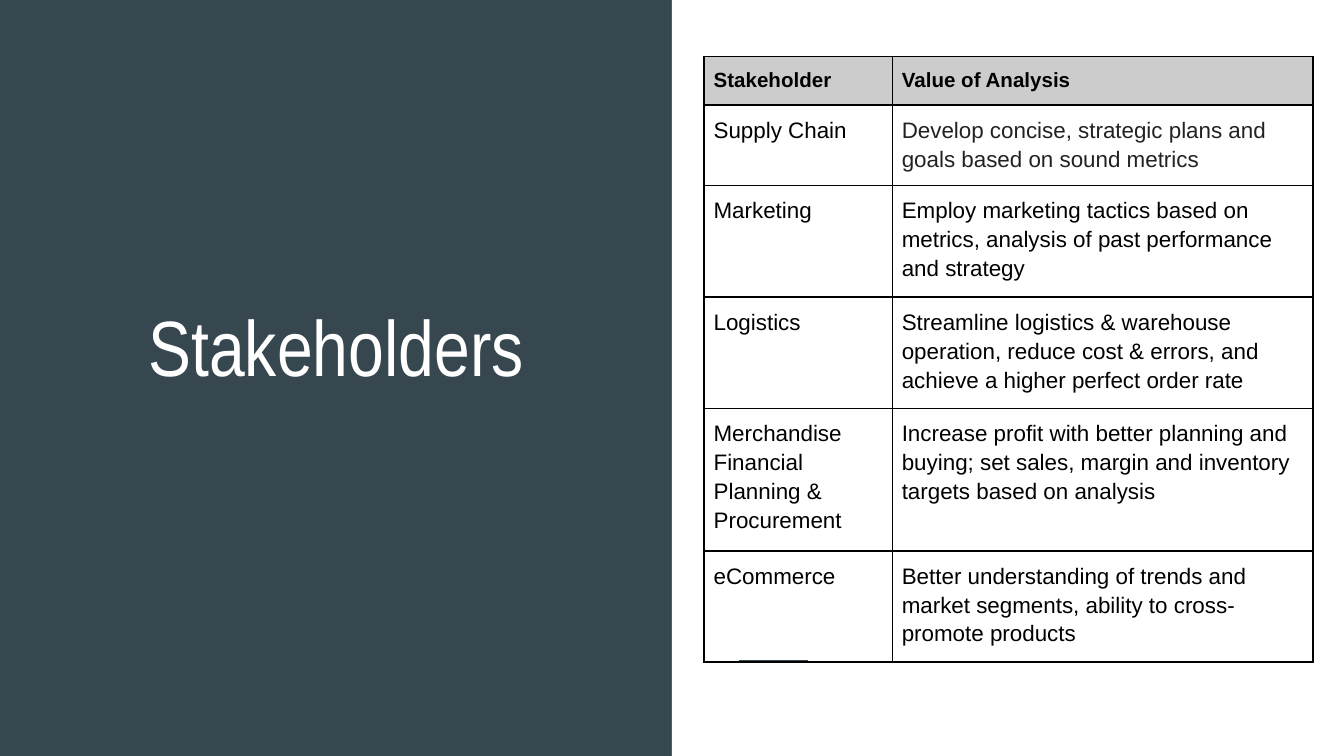
from typing import NamedTuple

from lxml import etree
from pptx import Presentation
from pptx import util as u
from pptx.dml.color import RGBColor
from pptx.enum import shapes, text
from pptx.oxml import ns

SLATE = RGBColor(0x37, 0x47, 0x4F)
WHITE = RGBColor(0xFF, 0xFF, 0xFF)
BLACK = RGBColor(0x00, 0x00, 0x00)
CHARCOAL = RGBColor(0x22, 0x22, 0x22)
HEADER_GREY = RGBColor(0xCC, 0xCC, 0xCC)

SLIDE_WIDTH = u.Inches(10)
SLIDE_HEIGHT = SLIDE_WIDTH * 9 // 16


class Entry(NamedTuple):
    stakeholder: str
    value: str
    height: float
    value_color: RGBColor = BLACK
    is_header: bool = False


ENTRIES = [
    Entry("Stakeholder", "Value of Analysis", 0.36, is_header=True),
    Entry("Supply Chain",
          "Develop concise, strategic plans and goals based on sound metrics",
          0.51, CHARCOAL),
    Entry("Marketing",
          "Employ marketing tactics based on metrics, analysis of past "
          "performance and strategy", 0.8),
    Entry("Logistics",
          "Streamline logistics & warehouse operation, reduce cost & errors, "
          "and achieve a higher perfect order rate", 0.78),
    Entry("Merchandise Financial Planning & Procurement",
          "Increase profit with better planning and buying; set sales, margin "
          "and inventory targets based on analysis", 0.82),
    Entry("eCommerce",
          "Better understanding of trends and market segments, ability to "
          "cross-promote products", 0.79),
]
COLUMN_WIDTHS = (1.4, 3.13)
TABLE_FRAME = u.Inches(3.28)


def add_run(paragraph, words: str, font: str, size: float, color: RGBColor,
            bold: bool = False) -> None:
    run = paragraph.add_run()
    run.text = words
    run.font.name = font
    run.font.size = u.Pt(size)
    run.font.bold = bold
    run.font.color.rgb = color


def add_borders(cell) -> None:
    properties = cell._tc.get_or_add_tcPr()
    for side in ("a:lnL", "a:lnR", "a:lnT", "a:lnB"):
        border = etree.SubElement(properties, ns.qn(side), w=str(u.Pt(1)))
        fill = etree.SubElement(border, ns.qn("a:solidFill"))
        etree.SubElement(fill, ns.qn("a:srgbClr"), val=str(BLACK))


def fill_cell(cell, words: str, color: RGBColor, is_header: bool) -> None:
    cell.margin_left = cell.margin_right = u.Inches(0.07)
    cell.margin_top = cell.margin_bottom = u.Inches(0.07)
    add_borders(cell)
    if is_header:
        cell.fill.solid()
        cell.fill.fore_color.rgb = HEADER_GREY
    else:
        cell.fill.background()
    paragraph = cell.text_frame.paragraphs[0]
    paragraph.line_spacing = 1.15
    add_run(paragraph, words, "Arial", 11 if is_header else 12, color, is_header)


def add_panel(slide) -> None:
    half = SLIDE_WIDTH // 2
    panel = slide.shapes.add_shape(
        shapes.MSO_SHAPE.RECTANGLE, half, u.Inches(0), half, SLIDE_HEIGHT)
    panel.shadow.inherit = False
    panel.fill.solid()
    panel.fill.fore_color.rgb = WHITE
    panel.line.fill.background()


def add_accent(slide) -> None:
    accent = slide.shapes.add_connector(
        shapes.MSO_CONNECTOR.STRAIGHT,
        u.Inches(5.5), u.Inches(4.92), u.Inches(6.01), u.Inches(4.92))
    accent.line.color.rgb = SLATE
    accent.line.width = u.Pt(1.5)
    etree.SubElement(accent._element.spPr, ns.qn("a:effectLst"))


def add_title(slide) -> None:
    title = slide.shapes.add_textbox(
        u.Inches(0.29), u.Inches(1.65), u.Inches(4.42), u.Inches(1.83))
    frame = title.text_frame
    frame.word_wrap = True
    frame.vertical_anchor = text.MSO_ANCHOR.MIDDLE
    frame.margin_left = frame.margin_right = u.Inches(0.1)
    frame.margin_top = frame.margin_bottom = u.Inches(0.1)
    paragraph = frame.paragraphs[0]
    paragraph.alignment = text.PP_ALIGN.CENTER
    add_run(paragraph, "Stakeholders", "Arial Narrow", 42, WHITE)


def add_stakeholder_table(slide) -> None:
    holder = slide.shapes.add_table(
        len(ENTRIES), len(COLUMN_WIDTHS), u.Inches(5.24), u.Inches(0.42),
        TABLE_FRAME, TABLE_FRAME)
    table = holder.table
    table.horz_banding = False
    for column, width in zip(table.columns, COLUMN_WIDTHS):
        column.width = u.Inches(width)
    for row, entry in zip(table.rows, ENTRIES):
        row.height = u.Inches(entry.height)
        name_cell, value_cell = row.cells
        fill_cell(name_cell, entry.stakeholder, BLACK, entry.is_header)
        fill_cell(value_cell, entry.value, entry.value_color, entry.is_header)
    holder.width = holder.height = TABLE_FRAME


def main() -> None:
    deck = Presentation()
    deck.slide_width = SLIDE_WIDTH
    deck.slide_height = SLIDE_HEIGHT
    slide = deck.slides.add_slide(deck.slide_layouts[6])
    slide.background.fill.solid()
    slide.background.fill.fore_color.rgb = SLATE
    add_panel(slide)
    add_accent(slide)
    add_title(slide)
    add_stakeholder_table(slide)
    deck.save("out.pptx")


if __name__ == "__main__":
    main()
